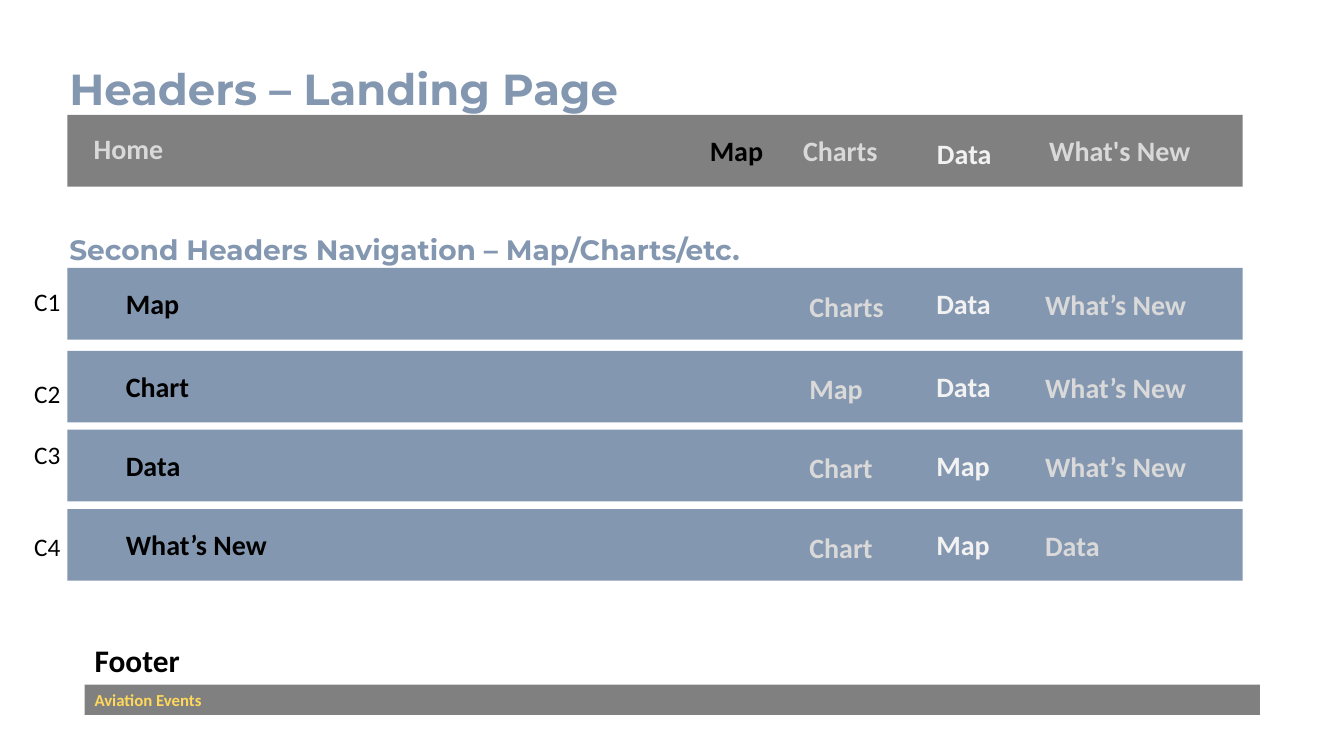
import pptx
import pptx.util
import pptx.dml.color
import pptx.enum.shapes
import pptx.enum.text

Pt = pptx.util.Pt
ANCHOR = pptx.enum.text.MSO_ANCHOR

COLORS = {
    "gray": "808080",
    "blue": "8497B0",
    "black": "000000",
    "muted": "D9D9D9",
    "light": "F2F2F2",
    "yellow": "FFD85B",
}
BAR_LEFT, BAR_WIDTH, BAR_HEIGHT = 48.2, 839.5, 51.2
TEXT_HEIGHT = 31.5

# Landing page items: text, left, top, width, colour
LANDING_ITEMS = [
    ("Home", 59.8, 90.7, 199.4, "muted"),
    ("Map", 499.9, 92, 56.2, "black"),
    ("Charts", 566.5, 91.5, 77.8, "muted"),
    ("Data", 662.2, 93.7, 77.8, "light"),
    ("What's New", 742.3, 91.5, 121.7, "muted"),
]

# Second header slots: left, offset from bar top, width, colour
NAV_SLOTS = [
    (82.8, 9.6, 144, "black"),
    (571, 11.5, 77.8, "muted"),
    (661.7, 9.6, 77.8, "light"),
    (739.4, 10.3, 121.7, "muted"),
]
NAV_ROWS = [
    (191.4, ["Map", "Charts", "Data", "What’s New"]),
    (250.6, ["Chart", "Map", "Data", "What’s New"]),
    (307, ["Data", "Chart", "Map", "What’s New"]),
    (363.6, ["What’s New", "Chart", "Map", "Data"]),
]

# Row labels: text, space before
ROW_LABELS = [("C1", 0), ("C2", 44), ("C3", 22), ("C4", 44)]


def rgb(name):
    return pptx.dml.color.RGBColor.from_string(COLORS[name])


def add_bar(s, left, top, height, color):
    sp = s.shapes.add_shape(pptx.enum.shapes.MSO_SHAPE.RECTANGLE,
                            Pt(left), Pt(top), Pt(BAR_WIDTH), Pt(height))
    sp.shadow.inherit = False
    sp.fill.solid()
    sp.fill.fore_color.rgb = rgb(color)
    sp.line.fill.background()


def add_text(s, text, left, top, width, color, height=TEXT_HEIGHT, size=20,
             font="Calibri", bold=True, anchor=ANCHOR.TOP, spacing=1.0):
    sp = s.shapes.add_textbox(Pt(left), Pt(top), Pt(width), Pt(height))
    tf = sp.text_frame
    tf.word_wrap = True
    tf.vertical_anchor = anchor
    tf.text = text
    for p in tf.paragraphs:
        p.line_spacing = spacing
        for r in p.runs:
            r.font.name = font
            r.font.size = Pt(size)
            r.font.bold = bold
            r.font.color.rgb = rgb(color)
    return tf


def add_heading(s, text, top, height, size):
    add_text(s, text, 42.5, top, 828, "blue", height, size, "Montserrat",
             anchor=ANCHOR.MIDDLE, spacing=0.9)


def add_row_labels(s):
    tf = add_text(s, "\n".join(label for label, _ in ROW_LABELS),
                  17.3, 200.9, 39.6, "black", 203.8, 18, bold=False)
    for p, (_, gap) in zip(tf.paragraphs, ROW_LABELS):
        p.space_before = Pt(gap)


def main():
    prs = pptx.Presentation()
    prs.slide_width, prs.slide_height = Pt(960), Pt(540)
    s = prs.slides.add_slide(prs.slide_layouts[6])

    # Landing page header
    add_bar(s, BAR_LEFT, 82.1, BAR_HEIGHT, "gray")
    add_heading(s, "Headers – Landing Page", 13, 104.4, 31)
    for item in LANDING_ITEMS:
        add_text(s, *item)

    # Second headers
    add_heading(s, "Second Headers Navigation – Map/Charts/etc.", 164.9, 28.8, 20)
    for top, names in NAV_ROWS:
        add_bar(s, BAR_LEFT, top, BAR_HEIGHT, "blue")
        for name, (left, offset, width, color) in zip(names, NAV_SLOTS):
            add_text(s, name, left, top + offset, width, color)
    add_row_labels(s)

    # Footer
    add_text(s, "Footer", 60.5, 460, 84.2, "black", 28.8, 22.4,
             anchor=ANCHOR.MIDDLE, spacing=0.7)
    add_bar(s, 60.5, 489, 21.6, "gray")
    add_text(s, "Aviation Events", 60.5, 489, 296, "yellow", 21.6, 12)

    prs.save("out.pptx")


if __name__ == "__main__":
    main()
